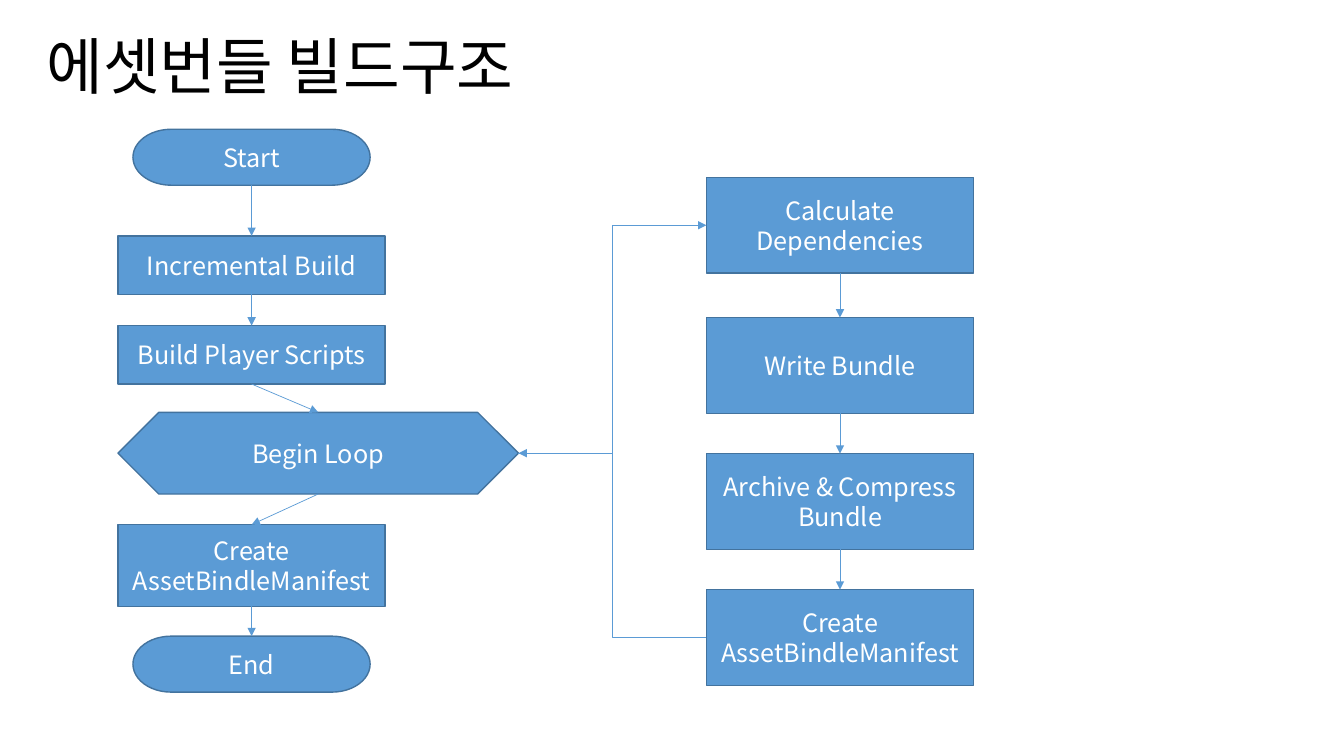
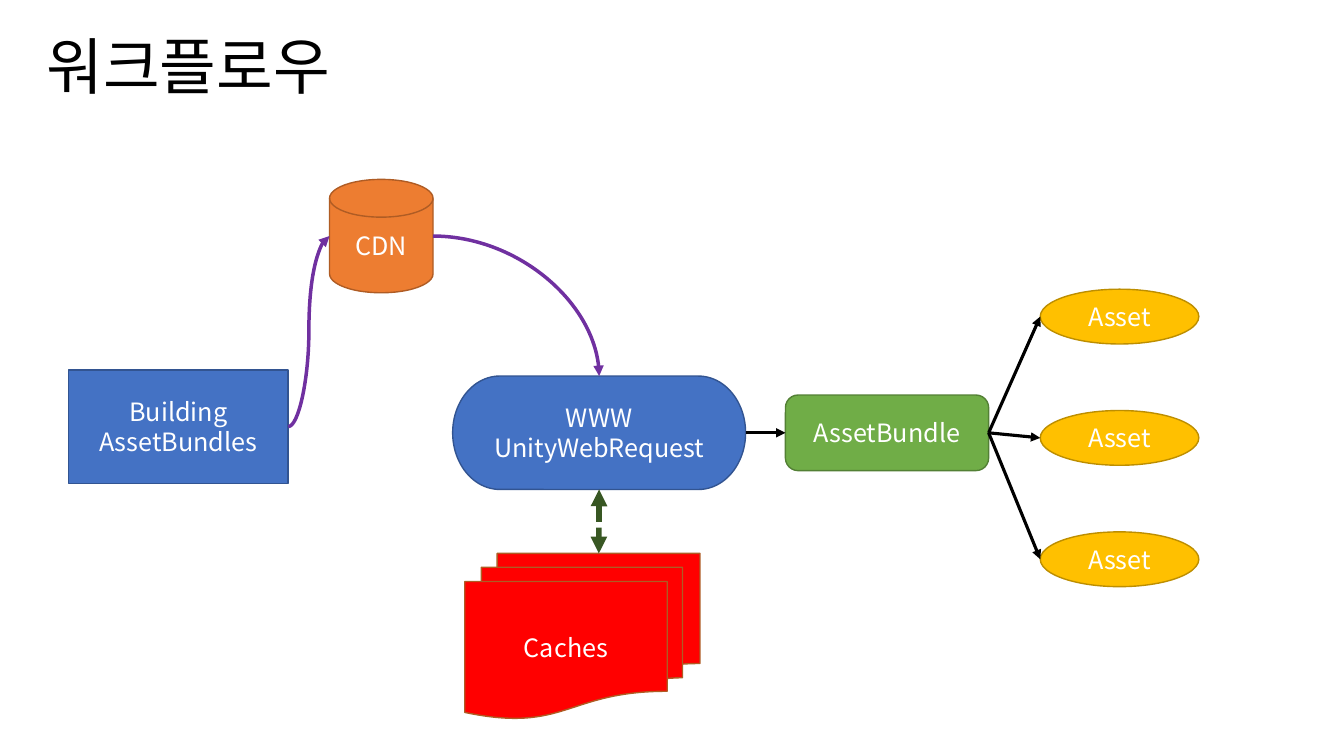
import dataclasses
import enum

import pptx
import pptx.dml.color
import pptx.enum.dml
import pptx.enum.shapes
import pptx.enum.text
import pptx.oxml.ns
import pptx.oxml.xmlchemy
import pptx.util
from lxml import etree

RGBColor = pptx.dml.color.RGBColor
Shape = pptx.enum.shapes.MSO_SHAPE
Kind = pptx.enum.shapes.MSO_CONNECTOR
qn = pptx.oxml.ns.qn

FONT = "Noto Sans CJK KR"
BLACK = RGBColor(0x00, 0x00, 0x00)
WHITE = RGBColor(0xFF, 0xFF, 0xFF)
SKY = RGBColor(0x5B, 0x9B, 0xD5)
SKY_EDGE = RGBColor(0x43, 0x73, 0x9E)
BLUE = RGBColor(0x44, 0x72, 0xC4)
BLUE_EDGE = RGBColor(0x32, 0x54, 0x91)
ORANGE = RGBColor(0xED, 0x7D, 0x31)
ORANGE_EDGE = RGBColor(0xAF, 0x5C, 0x24)
GREEN = RGBColor(0x70, 0xAD, 0x47)
GREEN_EDGE = RGBColor(0x53, 0x80, 0x35)
RED = RGBColor(0xFF, 0x00, 0x00)
GOLD = RGBColor(0xFF, 0xC0, 0x00)
GOLD_EDGE = RGBColor(0xBD, 0x8E, 0x00)
PURPLE = RGBColor(0x70, 0x30, 0xA0)
DARK_GREEN = RGBColor(0x38, 0x57, 0x23)

SLIDE_W = pptx.util.Inches(13.33)
SLIDE_H = pptx.util.Inches(7.5)


def across(share: float) -> int:
    """Length for a percentage of the slide's width."""
    return round(SLIDE_W * share / 100)


def down(share: float) -> int:
    """Length for a percentage of the slide's height."""
    return round(SLIDE_H * share / 100)


class Side(enum.Enum):
    TOP = 0
    LEFT = 1
    BOTTOM = 2
    RIGHT = 3


# Connection sites that differ from the usual top, left, bottom, right order.
SITES = {
    Shape.OVAL: {Side.TOP: 0, Side.LEFT: 2},
    Shape.FLOWCHART_MAGNETIC_DISK: {Side.LEFT: 2},
    Shape.LEFT_RIGHT_ARROW: {},
}
USUAL_SITES = {side: side.value for side in Side}


@dataclasses.dataclass(frozen=True)
class Node:
    """A labelled shape; lengths are percentages of the slide."""
    text: str
    shape: Shape
    center: float
    top: float
    width: float
    height: float
    fill: RGBColor = SKY
    edge: RGBColor = SKY_EDGE
    top_at: float = 0.5  # share of the width where arrows meet the top

    def anchor(self, side: Side) -> tuple[int, int]:
        fx, fy = {
            Side.TOP: (self.top_at, 0),
            Side.LEFT: (0, 0.5),
            Side.BOTTOM: (0.5, 1),
            Side.RIGHT: (1, 0.5),
        }[side]
        return (across(self.center + (fx - 0.5) * self.width),
                down(self.top + fy * self.height))


@dataclasses.dataclass(frozen=True)
class Link:
    start: Node
    start_side: Side
    end: Node
    end_side: Side
    color: RGBColor = SKY
    weight: float = 0.5
    kind: Kind = Kind.STRAIGHT
    quarter: bool = False  # a curve with a single bend
    both_ways: bool = False


def format_text(tf, text: str, size: float, color: RGBColor, align):
    tf.vertical_anchor = pptx.enum.text.MSO_ANCHOR.MIDDLE
    tf.word_wrap = True
    p = tf.paragraphs[0]
    p.text = text
    p.alignment = align
    p.font.name = FONT
    p.font.size = pptx.util.Pt(size)
    p.font.color.rgb = color
    latin = p._p.pPr.find(qn("a:defRPr")).find(qn("a:latin"))
    east_asian = etree.Element(qn("a:ea"), typeface=FONT)
    latin.addnext(east_asian)
    return p


def add_titled_slide(prs, title: str):
    s = prs.slides.add_slide(prs.slide_layouts.get_by_name("Title Only"))
    sp = s.shapes.title
    sp.left, sp.top = across(2.7), down(2.8)
    sp.width, sp.height = across(94.6), down(12.67)
    p = format_text(sp.text_frame, title, 44, BLACK,
                    pptx.enum.text.PP_ALIGN.LEFT)
    p.line_spacing = 0.9
    return s


def add_node(s, node: Node):
    sp = s.shapes.add_shape(
        node.shape, across(node.center - node.width / 2), down(node.top),
        across(node.width), down(node.height))
    sp.shadow.inherit = False
    sp.fill.solid()
    sp.fill.fore_color.rgb = node.fill
    sp.line.color.rgb = node.edge
    sp.line.width = pptx.util.Pt(1)
    if node.shape == Shape.LEFT_RIGHT_ARROW:
        sp.adjustments[0], sp.adjustments[1] = 1, 0.5
    format_text(sp.text_frame, node.text, 18, WHITE,
                pptx.enum.text.PP_ALIGN.CENTER)
    return sp


def add_link(s, link: Link, shapes: dict) -> None:
    begin = link.start.anchor(link.start_side)
    end = link.end.anchor(link.end_side)
    c = s.shapes.add_connector(link.kind, *begin, *end)
    start_site = SITES.get(link.start.shape, USUAL_SITES).get(link.start_side)
    end_site = SITES.get(link.end.shape, USUAL_SITES).get(link.end_side)
    if start_site is not None and end_site is not None:
        c.begin_connect(shapes[link.start], start_site)
        c.end_connect(shapes[link.end], end_site)
        c.begin_x, c.begin_y = begin
        c.end_x, c.end_y = end
    c.line.color.rgb = link.color
    c.line.width = pptx.util.Pt(link.weight)
    if link.both_ways:
        c.line.dash_style = pptx.enum.dml.MSO_LINE.SQUARE_DOT
    sp_pr = c.element.spPr
    if link.quarter:
        sp_pr.find(qn("a:prstGeom")).set("prst", "curvedConnector2")
    ln = sp_pr.find(qn("a:ln"))
    if link.both_ways:
        etree.SubElement(ln, qn("a:headEnd"), type="triangle")
    etree.SubElement(ln, qn("a:tailEnd"), type="triangle")
    etree.SubElement(sp_pr, qn("a:effectLst"))


def draw_diagram(s, nodes: list[Node], links: list[Link]) -> None:
    shapes = {node: add_node(s, node) for node in nodes}
    for link in links:
        add_link(s, link, shapes)


def chain(nodes: list[Node]) -> list[Link]:
    """Downward arrows between neighbours."""
    return [Link(upper, Side.BOTTOM, lower, Side.TOP)
            for upper, lower in zip(nodes, nodes[1:])]


def build_structure(prs) -> None:
    main_x, box_w = 18.72, 19.88

    def terminator(text: str, top: float) -> Node:
        return Node(text, Shape.FLOWCHART_TERMINATOR, main_x, top, 17.65, 7.4)

    def main_box(text: str, top: float, height: float) -> Node:
        return Node(text, Shape.RECTANGLE, main_x, top, box_w, height)

    loop = Node("Begin Loop", Shape.LEFT_RIGHT_ARROW, 23.68, 54.55, 29.8, 10.8)
    main = [
        terminator("Start", 17.1),
        main_box("Incremental Build", 31.2, 7.73),
        main_box("Build Player Scripts", 43.07, 7.73),
        loop,
        main_box("Create\nAssetBindleManifest", 69.4, 10.8),
        terminator("End", 84.15),
    ]
    steps = [
        Node(text, Shape.RECTANGLE, 62.5, top, box_w, 12.67)
        for text, top in (
            ("Calculate\nDependencies", 23.47),
            ("Write Bundle", 42),
            ("Archive & Compress\nBundle", 60),
            ("Create\nAssetBindleManifest", 78),
        )
    ]
    loop_links = [
        Link(steps[-1], Side.LEFT, loop, Side.RIGHT, kind=Kind.ELBOW),
        Link(loop, Side.RIGHT, steps[0], Side.LEFT, kind=Kind.ELBOW),
    ]
    s = add_titled_slide(prs, "에셋번들 빌드구조")
    draw_diagram(s, main + steps, chain(main) + chain(steps) + loop_links)


def build_workflow(prs) -> None:
    building = Node("Building\nAssetBundles", Shape.FLOWCHART_PROCESS,
                    13.27, 48.93, 16.35, 15, BLUE, BLUE_EDGE)
    cdn = Node("CDN", Shape.FLOWCHART_MAGNETIC_DISK,
               28.37, 23.73, 7.7, 15, ORANGE, ORANGE_EDGE)
    request = Node("WWW\nUnityWebRequest", Shape.FLOWCHART_TERMINATOR,
                   44.58, 49.75, 21.8, 15, BLUE, BLUE_EDGE)
    bundle = Node("AssetBundle", Shape.FLOWCHART_ALTERNATE_PROCESS,
                  66, 52.25, 15.12, 10, GREEN, GREEN_EDGE)
    caches = Node("Caches", Shape.FLOWCHART_MULTIDOCUMENT,
                  43.33, 73.2, 17.5, 21.87, RED, ORANGE_EDGE, top_at=0.57)
    assets = [
        Node("Asset", Shape.OVAL, 83.3, 38.25 + 16.05 * row, 11.8, 7.25,
             GOLD, GOLD_EDGE)
        for row in range(3)
    ]
    links = [
        Link(request, Side.BOTTOM, caches, Side.TOP, DARK_GREEN, 4,
             both_ways=True),
        Link(building, Side.RIGHT, cdn, Side.LEFT, PURPLE, 2.5, Kind.CURVE),
        Link(cdn, Side.RIGHT, request, Side.TOP, PURPLE, 2.5, Kind.CURVE,
             quarter=True),
        Link(request, Side.RIGHT, bundle, Side.LEFT, BLACK, 2.25),
    ]
    links += [Link(bundle, Side.RIGHT, asset, Side.LEFT, BLACK, 2.25)
              for asset in assets]
    s = add_titled_slide(prs, "워크플로우")
    draw_diagram(s, [building, cdn, request, bundle, caches, *assets], links)


def main() -> None:
    prs = pptx.Presentation()
    prs.slide_width, prs.slide_height = SLIDE_W, SLIDE_H
    build_structure(prs)
    build_workflow(prs)
    prs.save("out.pptx")


if __name__ == "__main__":
    main()
